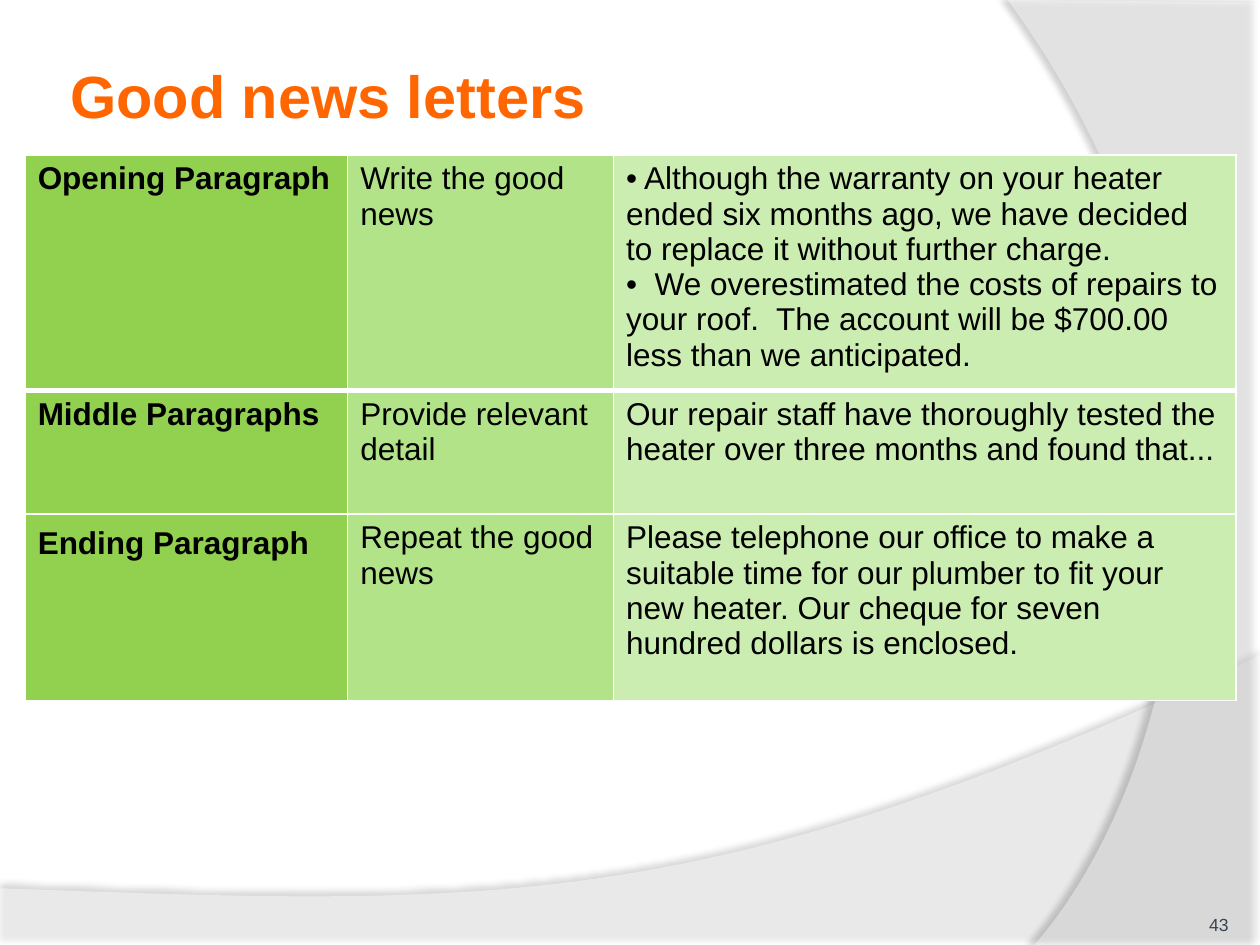
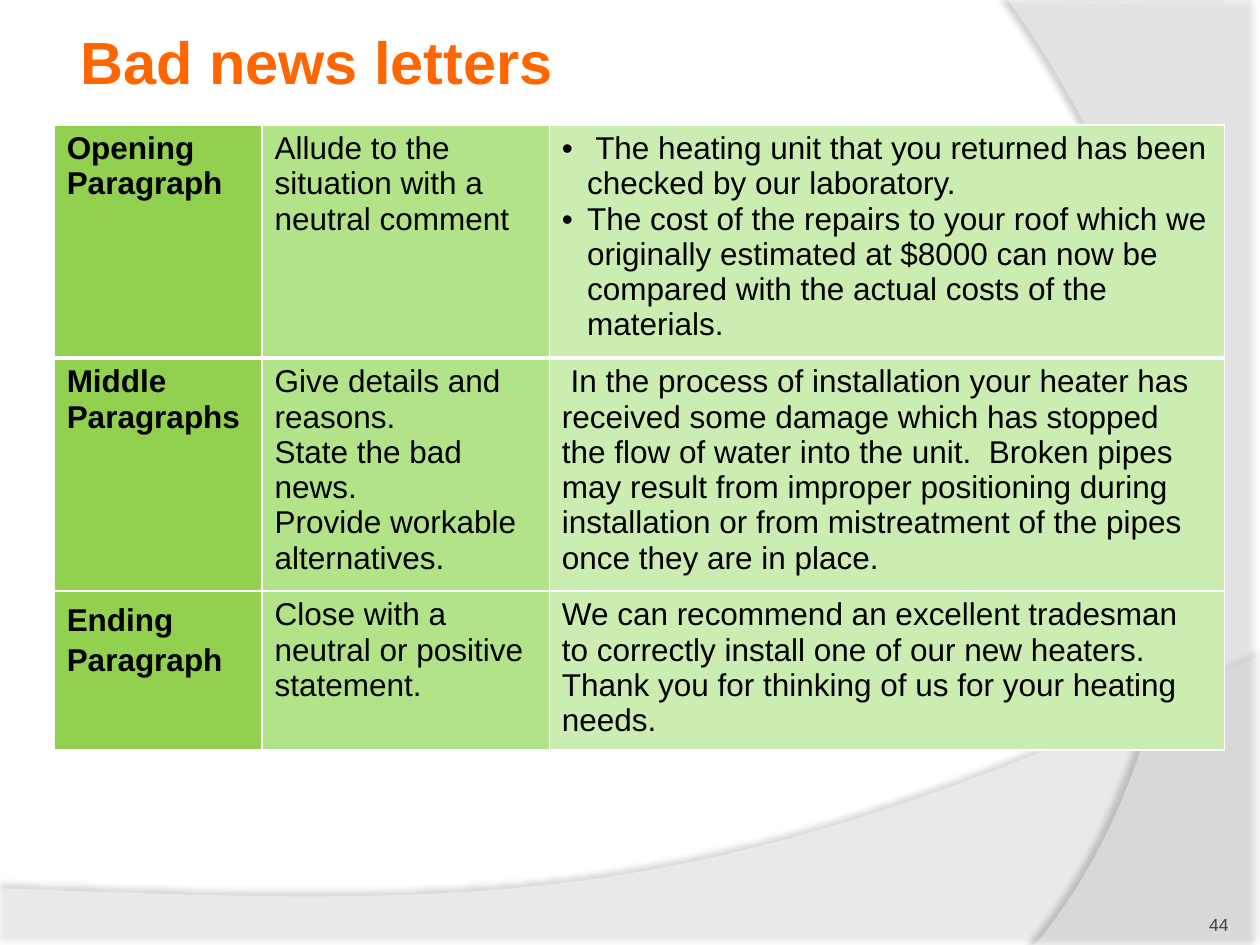
"""Build two table slides about good news and bad news letters."""
from dataclasses import dataclass

from lxml.etree import SubElement
from pptx import Presentation
from pptx.dml.color import RGBColor
from pptx.enum.text import MSO_ANCHOR, PP_ALIGN
from pptx.oxml.ns import qn
from pptx.slide import Slide
from pptx.table import _Cell
from pptx.text.text import _Paragraph
from pptx.util import Inches, Pt

COLORS = {
    "white": "FFFFFF",
    "shadow": "000000",
    "title": "FF6600",
    "number": "3A4352",
    "text": "000000",
    "stage": "92D050",
    "purpose": "B2E389",
    "example": "CCEDB1",
}
COLUMN_FILLS = ("stage", "purpose", "example")
HEADER_BORDERS = {"a:lnL": 1, "a:lnR": 1, "a:lnT": 1, "a:lnB": 3}
FONT_NAME = "Arial"
CURVE_STEPS = 40

Point = tuple[float, float]


@dataclass(frozen=True)
class Band:
    """A translucent backdrop: straight corners, then a curve back to the first."""
    corners: tuple[Point, ...]
    controls: tuple[Point, Point]
    end: Point
    opacity: int
    shadow_opacity: int
    shadow_distance: float
    shadow_angle: int


@dataclass(frozen=True)
class Bullets:
    """Bulleted paragraphs with a hanging indent in inches."""
    items: tuple[str, ...]
    hanging: float = 0


@dataclass(frozen=True)
class LetterPage:
    """One slide: title, page number and table of letter paragraphs."""
    title: str
    title_box: tuple[float, float, float, float]
    number: int
    table_corner: Point
    columns: tuple[float, ...]
    row_heights: tuple[float, ...]
    rows: tuple[tuple[str | Bullets, ...], ...]


BANDS = (
    Band(((0, 7.05), (0, 7.51), (10, 7.51), (10, 5.2)),
         ((5.59, 7.29), (3.91, 7.19)), (0, 7.05), 45, 35, 3.5, 270),
    Band(((10, 0.02), (10, 7.5), (8.21, 7.5)),
         ((9.35, 6.19), (10.18, 3)), (8, 0), 40, 45, 4, 180),
)

PAGES = (
    LetterPage(
        "Good news letters", (0.51, 0.13, 8.17, 1.25), 43,
        (0.2, 1.23), (2.56, 2.11, 4.94), (1.87, 0.98, 1.48),
        (
            ("Opening Paragraph", "Write the good news", Bullets((
                " Although the warranty on your heater ended six months ago, "
                "we have decided to replace it without further charge.",
                "  We overestimated the costs of repairs to your roof.  "
                "The account will be $700.00 less than we anticipated."))),
            ("Middle Paragraphs", "Provide relevant detail",
             "Our repair staff have thoroughly tested the heater over three "
             "months and found that..."),
            ("Ending Paragraph", "Repeat the good news",
             "Please telephone our office to make a suitable time for our "
             "plumber to fit your new heater. Our cheque for seven hundred "
             "dollars is enclosed."),
        )),
    LetterPage(
        "Bad news letters", (0.59, 0, 8.17, 0.96), 44,
        (0.43, 0.99), (1.65, 2.28, 5.36), (1.77, 1.78, 1.26),
        (
            ("Opening Paragraph", "Allude to the situation with a neutral comment",
             Bullets((
                 " The heating unit that you returned has been checked by our "
                 "laboratory.",
                 "The cost of the repairs to your roof which we originally "
                 "estimated at $8000 can now be compared with the actual costs "
                 "of the materials."), 0.2)),
            ("Middle Paragraphs",
             "Give details and reasons.\vState the bad news.\v"
             "Provide workable alternatives.",
             " In the process of installation your heater has received some "
             "damage which has stopped the flow of water into the unit.  Broken "
             "pipes may result from improper positioning during installation or "
             "from mistreatment of the pipes once they are in place."),
            ("Ending Paragraph", "Close with a neutral or positive statement.",
             "We can recommend an excellent tradesman to correctly install one "
             "of our new heaters.\nThank you for thinking of us for your heating "
             "needs."),
        )),
)


def rgb(name: str) -> RGBColor:
    """Look up a colour by name."""
    return RGBColor.from_string(COLORS[name])


def style(para: _Paragraph, size: float, color: str, bold: bool = False) -> None:
    """Set the font of a whole paragraph."""
    para.font.name = FONT_NAME
    para.font.size = Pt(size)
    para.font.bold = bold
    para.font.color.rgb = rgb(color)


def curve_points(start: Point, band: Band) -> list[Point]:
    """Sample the cubic curve from start to the end of the band."""
    nodes = (start, *band.controls, band.end)
    points = []
    for step in range(1, CURVE_STEPS + 1):
        t = step / CURVE_STEPS
        weights = ((1 - t) ** 3, 3 * t * (1 - t) ** 2, 3 * t * t * (1 - t), t ** 3)
        points.append((sum(w * x for w, (x, _) in zip(weights, nodes)),
                       sum(w * y for w, (_, y) in zip(weights, nodes))))
    return points


def add_color(parent, name: str, opacity: int) -> None:
    """Append a translucent colour element."""
    color = SubElement(parent, qn("a:srgbClr"), val=COLORS[name])
    SubElement(color, qn("a:alpha"), val=str(opacity * 1000))


def add_band(page: Slide, band: Band) -> None:
    """Draw one curved backdrop with its soft shadow."""
    outline = [*band.corners, *curve_points(band.corners[-1], band)]
    points = [(Inches(x), Inches(y)) for x, y in outline]
    builder = page.shapes.build_freeform(*points[0])
    builder.add_line_segments(points[1:], close=True)
    shape = builder.convert_to_shape()
    shape.line.fill.background()
    shape.fill.solid()
    shape.fill.fore_color.rgb = rgb("white")
    properties = shape.element.spPr
    fill_color = properties.find(qn("a:solidFill")).find(qn("a:srgbClr"))
    SubElement(fill_color, qn("a:alpha"), val=str(band.opacity * 1000))
    shape.shadow.inherit = False
    shadow = SubElement(
        properties.find(qn("a:effectLst")), qn("a:outerShdw"),
        blurRad=str(Pt(4)), dist=str(Pt(band.shadow_distance)),
        dir=str(band.shadow_angle * 60000), algn="ctr", rotWithShape="0")
    add_color(shadow, "shadow", band.shadow_opacity)


def add_text(page: Slide, text: str, place: tuple[float, float, float, float],
             margin: float, anchor: MSO_ANCHOR) -> _Paragraph:
    """Add a one-paragraph text box and return its paragraph."""
    box = page.shapes.add_textbox(*map(Inches, place))
    frame = box.text_frame
    frame.word_wrap = True
    frame.vertical_anchor = anchor
    frame.margin_left = frame.margin_right = Inches(margin)
    frame.margin_top = frame.margin_bottom = Inches(margin)
    para = frame.paragraphs[0]
    para.text = text
    return para


def set_header_borders(cell: _Cell) -> None:
    """Draw the white borders of a first-row cell, thicker at the bottom."""
    properties = cell._tc.get_or_add_tcPr()
    for tag, width in HEADER_BORDERS.items():
        line = SubElement(properties, qn(tag), w=str(Pt(width)))
        fill = SubElement(line, qn("a:solidFill"))
        SubElement(fill, qn("a:srgbClr"), val=COLORS["white"])


def fill_cell(cell: _Cell, content: str | Bullets, bold: bool) -> None:
    """Write plain or bulleted paragraphs into a cell."""
    bulleted = isinstance(content, Bullets)
    texts = content.items if bulleted else content.split("\n")
    frame = cell.text_frame
    for index, text in enumerate(texts):
        para = frame.add_paragraph() if index else frame.paragraphs[0]
        para.text = text
        if bulleted:
            properties = para._p.get_or_add_pPr()
            properties.set("marL", str(Inches(content.hanging)))
            properties.set("indent", str(-Inches(content.hanging)))
            SubElement(properties, qn("a:buFont"), typeface=FONT_NAME)
            SubElement(properties, qn("a:buChar"), char="•")
        style(para, 18, "text", bold)


def add_letter_table(page: Slide, letter: LetterPage) -> None:
    """Add the table of letter paragraphs."""
    size = (sum(letter.columns), sum(letter.row_heights))
    table = page.shapes.add_table(
        len(letter.rows), len(letter.columns),
        *map(Inches, (*letter.table_corner, *size))).table
    table.first_row = table.horz_banding = False
    for column, width in zip(table.columns, letter.columns):
        column.width = Inches(width)
    for row, height in zip(table.rows, letter.row_heights):
        row.height = Inches(height)
    for row, contents in enumerate(letter.rows):
        for column, content in enumerate(contents):
            cell = table.cell(row, column)
            if row == 0:
                set_header_borders(cell)
            cell.margin_right = Inches(0.12)
            cell.margin_bottom = Inches(0)
            cell.fill.solid()
            cell.fill.fore_color.rgb = rgb(COLUMN_FILLS[column])
            fill_cell(cell, content, bold=column == 0)
    ending = table.cell(len(letter.rows) - 1, 0).text_frame.paragraphs[0]
    ending.line_spacing = 1.15
    ending.space_after = Pt(10)


def add_page(deck, letter: LetterPage) -> None:
    """Add one complete slide."""
    page = deck.slides.add_slide(deck.slide_layouts[6])
    for band in BANDS:
        add_band(page, band)
    title = add_text(page, letter.title, letter.title_box, 0.05, MSO_ANCHOR.MIDDLE)
    style(title, 34, "title", bold=True)
    number = add_text(page, str(letter.number), (8.92, 7.02, 0.83, 0.4), 0,
                      MSO_ANCHOR.BOTTOM)
    number.alignment = PP_ALIGN.RIGHT
    style(number, 10, "number")
    add_letter_table(page, letter)


def main() -> None:
    """Build and save the deck."""
    deck = Presentation()
    deck.slide_width, deck.slide_height = Inches(10), Inches(7.5)
    for letter in PAGES:
        add_page(deck, letter)
    deck.save("out.pptx")


if __name__ == "__main__":
    main()
